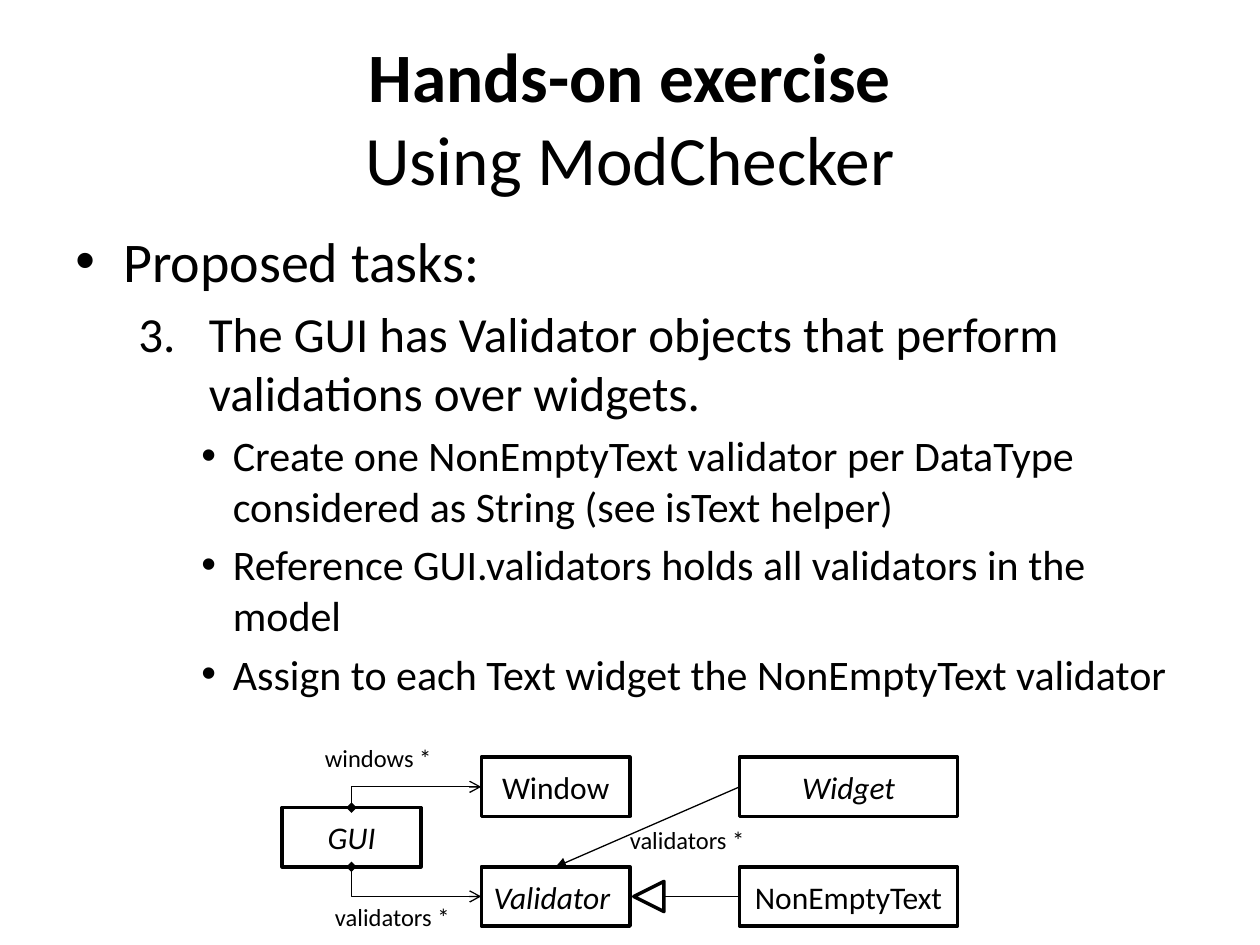
from lxml import etree
from pptx import Presentation
from pptx.dml.color import RGBColor
from pptx.enum.shapes import MSO_CONNECTOR, MSO_SHAPE
from pptx.enum.text import MSO_ANCHOR, MSO_AUTO_SIZE, PP_ALIGN
from pptx.oxml.ns import qn
from pptx.util import Inches, Pt

BLACK = RGBColor(0, 0, 0)
WHITE = RGBColor(255, 255, 255)
FONT = "Calibri"
CENTER, JUSTIFY, LEFT = PP_ALIGN.CENTER, PP_ALIGN.JUSTIFY, PP_ALIGN.LEFT
MIDDLE, TOP = MSO_ANCHOR.MIDDLE, MSO_ANCHOR.TOP
STRAIGHT, ELBOW = MSO_CONNECTOR.STRAIGHT, MSO_CONNECTOR.ELBOW

TITLE = [("Hands-on exercise", True), ("Using ModChecker", False)]
TASKS = [
    (0, "Proposed tasks:"),
    (1, "The GUI has Validator objects that perform validations over widgets."),
    (2, "Create one NonEmptyText validator per DataType considered as String (see isText helper)"),
    (2, "Reference GUI.validators holds all validators in the model"),
    (2, "Assign to each Text widget the NonEmptyText validator"),
]
LEVELS = [(32, 0.38, 0.38), (28, 1.06, 0.56), (24, 1.25, 0.25)]
FIRST_NUMBER = 3

COLUMNS = [(2.24, 1.1), (3.82, 1.18), (5.87, 1.73)]
ROWS = [6.01, 6.41, 6.88]
BOX_HEIGHT = 0.47
CLASSES = {
    "GUI": (0, 1, True, CENTER),
    "Window": (1, 0, False, CENTER),
    "Validator": (1, 2, True, JUSTIFY),
    "NonEmptyText": (2, 2, False, CENTER),
    "Widget": (2, 0, True, CENTER),
}
ROLES = [("windows *", 2.48, 5.85, 1.05), ("validators *", 2.56, 7.11, 1.12),
         ("validators *", 4.9, 6.5, 1.12)]
ROLE_HEIGHT = 0.34
INHERIT_SIZE, INHERIT_GAP = 0.24, 0.03

prs = Presentation()
prs.slide_width, prs.slide_height = Inches(10), Inches(7.5)
slide = prs.slides.add_slide(prs.slide_layouts[6])
shapes = slide.shapes


def add_run(paragraph, text, size, bold=False, italic=False):
    run = paragraph.add_run()
    run.text = text
    font = run.font
    font.name, font.size, font.bold, font.italic = FONT, Pt(size), bold, italic
    font.color.rgb = BLACK


def add_text(left, top, width, height, anchor=TOP, wrap=True):
    frame = shapes.add_textbox(*map(Inches, (left, top, width, height))).text_frame
    frame.word_wrap, frame.vertical_anchor = wrap, anchor
    return frame


def add_outline(kind, left, top, width, height):
    outline = shapes.add_shape(kind, *map(Inches, (left, top, width, height)))
    outline.shadow.inherit = False
    outline.fill.solid()
    outline.fill.fore_color.rgb = WHITE
    outline.line.color.rgb = BLACK
    outline.line.width = Pt(2)
    return outline


def connect(kind, start, end, head=None, tail=None):
    link = shapes.add_connector(kind, *map(Inches, start + end))
    link.line.color.rgb = BLACK
    link.line.width = Pt(0.75)
    properties = link._element.spPr
    etree.SubElement(properties, qn("a:effectLst"))
    if kind == ELBOW:
        properties.find(qn("a:prstGeom")).set("prst", "bentConnector2")
    for tag, marker in (("a:headEnd", head), ("a:tailEnd", tail)):
        if marker:
            etree.SubElement(link.line._get_or_add_ln(), qn(tag), type=marker)


title = add_text(0.5, 0.3, 9, 1.25, MIDDLE).paragraphs[0]
title.alignment = CENTER
for index, (text, bold) in enumerate(TITLE):
    if index:
        title.add_line_break()
    add_run(title, text, 39.6, bold)

body = add_text(0.5, 1.75, 9, 4.95)
for index, (level, text) in enumerate(TASKS):
    task = body.add_paragraph() if index else body.paragraphs[0]
    size, indent, hanging = LEVELS[level]
    task.level = level
    task.space_before = Pt(size * 0.2)
    properties = task._p.get_or_add_pPr()
    properties.set("marL", str(Inches(indent)))
    properties.set("indent", str(-Inches(hanging)))
    if level == 1:
        etree.SubElement(properties, qn("a:buFont"), typeface="+mj-lt")
        etree.SubElement(properties, qn("a:buAutoNum"), type="arabicPeriod",
                         startAt=str(FIRST_NUMBER))
    else:
        etree.SubElement(properties, qn("a:buFont"), typeface="Arial")
        etree.SubElement(properties, qn("a:buChar"), char="\u2022")
    add_run(task, text, size)

anchors = {}
for name, (column, row, abstract, alignment) in CLASSES.items():
    left, width = COLUMNS[column]
    top = ROWS[row]
    box = add_outline(MSO_SHAPE.RECTANGLE, left, top, width, BOX_HEIGHT)
    box.text_frame.vertical_anchor = MIDDLE
    label = box.text_frame.paragraphs[0]
    label.alignment = alignment
    add_run(label, name, 18, italic=abstract)
    center, middle = left + width / 2, top + BOX_HEIGHT / 2
    anchors[name] = {"left": (left, middle), "right": (left + width, middle),
                     "top": (center, top), "bottom": (center, top + BOX_HEIGHT)}

right, middle = anchors["Validator"]["right"]
inherit_left = right + INHERIT_GAP
inherit = add_outline(MSO_SHAPE.ISOSCELES_TRIANGLE, inherit_left,
                      middle - INHERIT_SIZE / 2, INHERIT_SIZE, INHERIT_SIZE)
inherit.rotation = 270

connect(STRAIGHT, (inherit_left + INHERIT_SIZE, middle), anchors["NonEmptyText"]["left"])
for part, side in (("Validator", "bottom"), ("Window", "top")):
    connect(ELBOW, anchors[part]["left"], anchors["GUI"][side], "arrow", "diamond")
connect(STRAIGHT, anchors["Widget"]["left"], anchors["Validator"]["top"], tail="triangle")

for text, left, top, width in ROLES:
    role = add_text(left, top, width, ROLE_HEIGHT, wrap=False)
    role.auto_size = MSO_AUTO_SIZE.SHAPE_TO_FIT_TEXT
    role.paragraphs[0].alignment = LEFT
    add_run(role.paragraphs[0], text, 14)

prs.save("out.pptx")
